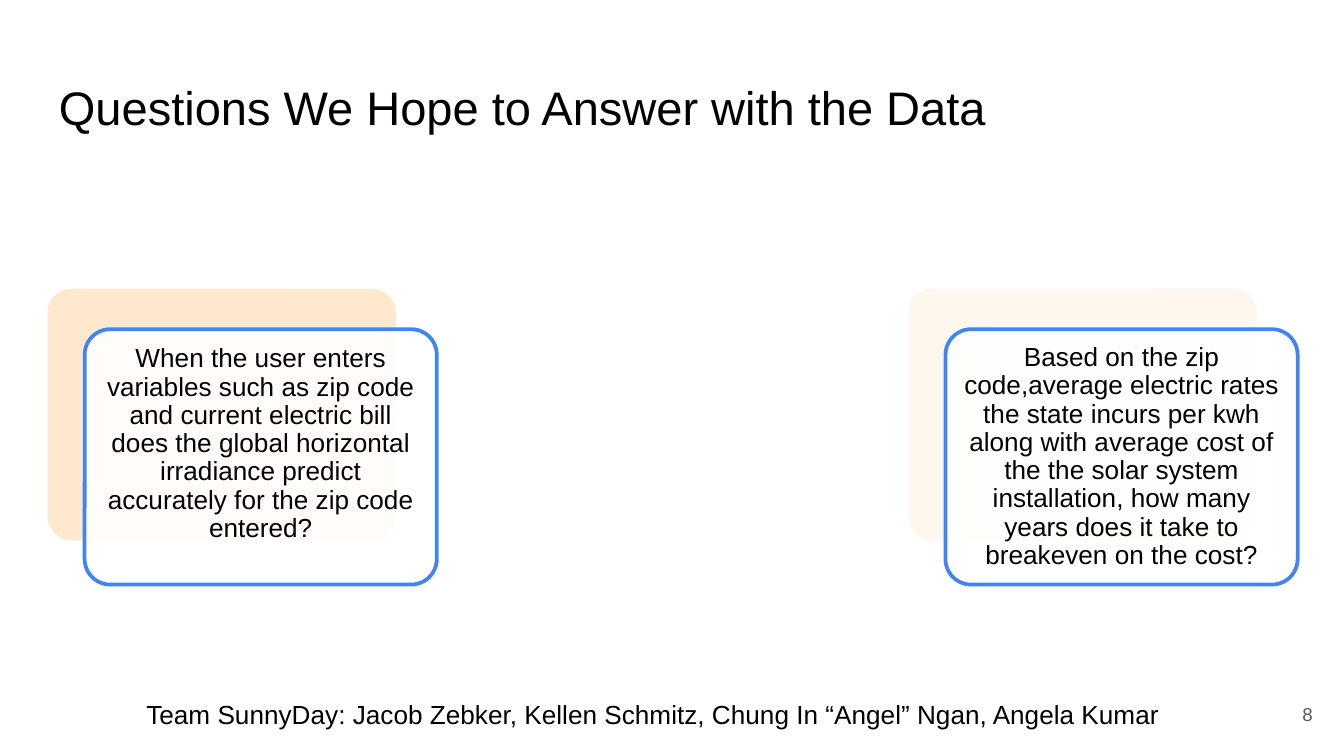
from dataclasses import dataclass

from lxml.etree import SubElement
from pptx import Presentation
from pptx.dml.color import RGBColor
from pptx.enum.shapes import MSO_SHAPE
from pptx.enum.text import MSO_ANCHOR, PP_ALIGN
from pptx.oxml.ns import qn
from pptx.slide import Slide
from pptx.util import Emu, Pt

PX = 4572
SLIDE_W, SLIDE_H = 2000, 1125
COLORS = {
    "white": "FFFFFF",
    "black": "000000",
    "gray": "595959",
    "blue": "4185F2",
    "orange": "FFCC8B",
    "cream": "FEEDD8",
}
CARD_W, CARD_H = 524, 380
CARD_TOP = 427
SHIFT_X, SHIFT_Y = 58, 63
TEXT_INSET_X, TEXT_INSET_Y = 10, 11


@dataclass(frozen=True)
class Label:
    x: int
    y: int
    w: int
    h: int
    text: str
    size: float = 14
    color: str = "black"
    align: PP_ALIGN = PP_ALIGN.LEFT
    anchor: MSO_ANCHOR = MSO_ANCHOR.TOP
    inset: int = 20
    spacing: float = 1.0


@dataclass(frozen=True)
class Card:
    x: int
    back: str
    opacity: int
    text_h: int
    question: str


LABELS = [
    Label(68, 97, 1864, 126, "Questions We Hope to Answer with the Data", size=25.2),
    Label(1853, 1020, 120, 86, "8", size=10, color="gray",
          align=PP_ALIGN.RIGHT, anchor=MSO_ANCHOR.MIDDLE),
    Label(198, 1020, 1606, 88,
          "Team SunnyDay: Jacob Zebker, Kellen Schmitz, "
          "Chung In “Angel” Ngan, Angela Kumar"),
]
CARDS = [
    Card(68, "orange", 42, 320,
         "When the user enters variables such as zip code and current electric bill "
         "does the global horizontal irradiance predict accurately for the zip code "
         "entered?"),
    Card(1349, "cream", 41, 358,
         "Based on the zip code,average electric rates the state incurs per kwh along "
         "with average cost of the the solar system installation, how many years does "
         "it take to breakeven on the cost?"),
]


def px(n: int) -> Emu:
    return Emu(n * PX)


def rgb(name: str) -> RGBColor:
    return RGBColor.from_string(COLORS[name])


def add_label(s: Slide, label: Label) -> None:
    sp = s.shapes.add_textbox(px(label.x), px(label.y), px(label.w), px(label.h))
    tf = sp.text_frame
    tf.word_wrap = True
    tf.vertical_anchor = label.anchor
    tf.margin_left = tf.margin_right = px(label.inset)
    tf.margin_top = tf.margin_bottom = px(label.inset)
    p = tf.paragraphs[0]
    p.alignment = label.align
    p.line_spacing = label.spacing
    r = p.add_run()
    r.text = label.text
    r.font.name = "Arial"
    r.font.size = Pt(label.size)
    r.font.color.rgb = rgb(label.color)


def add_panel(s: Slide, x: int, y: int, fill: str, opacity: int, line: str) -> None:
    sp = s.shapes.add_shape(MSO_SHAPE.ROUNDED_RECTANGLE,
                            px(x), px(y), px(CARD_W), px(CARD_H))
    sp.adjustments[0] = 0.1
    sp.shadow.inherit = False
    sp.fill.solid()
    sp.fill.fore_color.rgb = rgb(fill)
    color = sp.fill._xPr.find(qn("a:solidFill"))[0]
    SubElement(color, qn("a:alpha")).set("val", str(opacity * 1000))
    sp.line.color.rgb = rgb(line)
    sp.line.width = Pt(2)


def add_card(s: Slide, card: Card) -> None:
    x, y = card.x + SHIFT_X, CARD_TOP + SHIFT_Y
    add_panel(s, card.x, CARD_TOP, card.back, card.opacity, "white")
    add_panel(s, x, y, "white", 90, "blue")
    add_label(s, Label(x + TEXT_INSET_X, y + TEXT_INSET_Y,
                       CARD_W - 2 * TEXT_INSET_X, card.text_h, card.question,
                       align=PP_ALIGN.CENTER, anchor=MSO_ANCHOR.MIDDLE,
                       inset=12, spacing=0.9))


def main() -> None:
    prs = Presentation()
    prs.slide_width, prs.slide_height = px(SLIDE_W), px(SLIDE_H)
    s = prs.slides.add_slide(prs.slide_layouts[6])
    s.background.fill.solid()
    s.background.fill.fore_color.rgb = rgb("white")
    for label in LABELS:
        add_label(s, label)
    for card in CARDS:
        add_card(s, card)
    prs.save("out.pptx")


if __name__ == "__main__":
    main()
